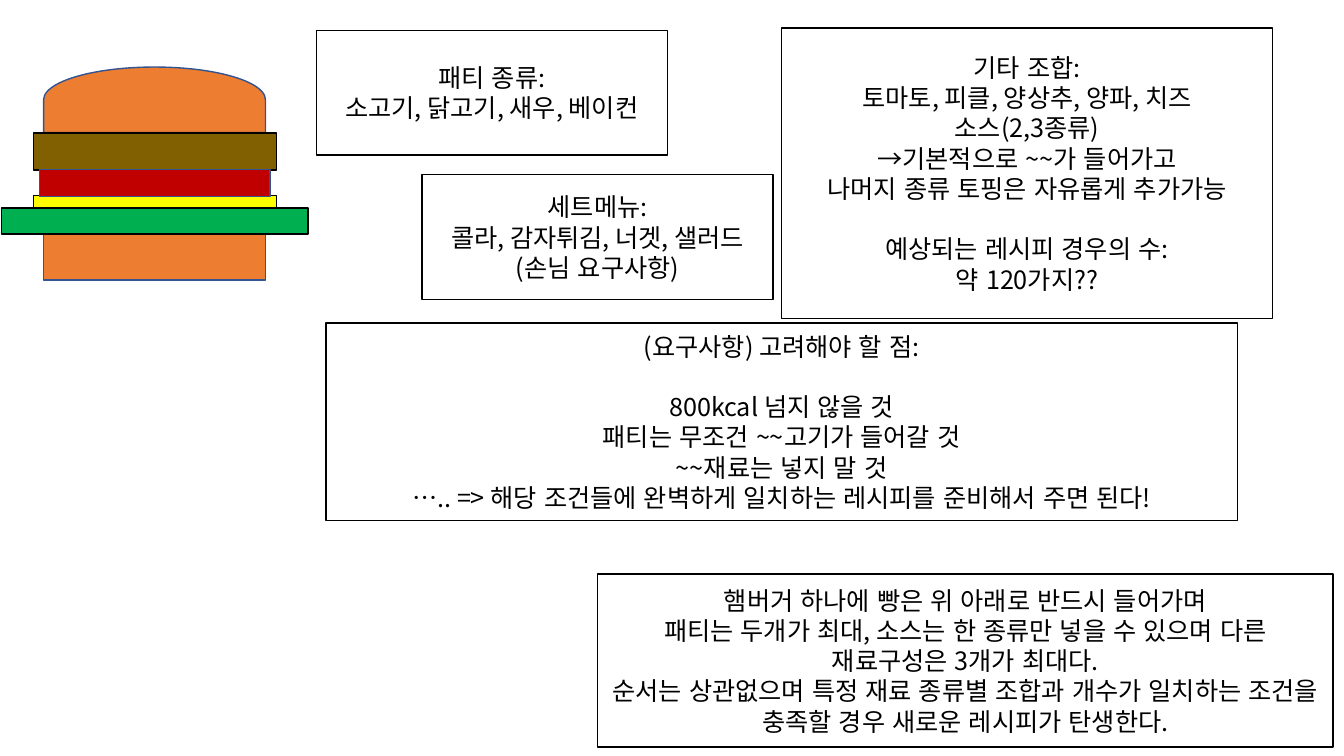
from lxml.etree import SubElement
from pptx import Presentation
from pptx.dml.color import RGBColor
from pptx.enum.lang import MSO_LANGUAGE_ID
from pptx.enum.shapes import MSO_SHAPE
from pptx.enum.text import MSO_ANCHOR, PP_ALIGN
from pptx.oxml.ns import qn
from pptx.util import Pt

COLORS = {
    "bun": "ED7D31",
    "bun_edge": "325491",
    "cheese": "FFFF00",
    "lettuce": "00B050",
    "patty": "806000",
    "tomato": "C00000",
    "white": "FFFFFF",
    "black": "000000",
}


class SlideBuilder:
    font_name = "Noto Sans CJK KR"
    font_size = 18
    line_height = 21.6

    def __init__(self, slide):
        self.slide = slide

    def block(self, bounds, fill, edge="black", kind=MSO_SHAPE.RECTANGLE, rotation=0):
        shape = self.slide.shapes.add_shape(kind, *(Pt(length) for length in bounds))
        shape.rotation = rotation
        shape.shadow.inherit = False
        shape.fill.solid()
        shape.fill.fore_color.rgb = RGBColor.from_string(COLORS[fill])
        shape.line.color.rgb = RGBColor.from_string(COLORS[edge])
        shape.line.width = Pt(1)
        return shape

    def note(self, bounds, lines, spaced_line=None):
        """Draw a framed note; spaced_line is the index of a line set off by one line height."""
        text_frame = self.block(bounds, "white").text_frame
        text_frame.word_wrap = True
        text_frame.vertical_anchor = MSO_ANCHOR.MIDDLE
        text_frame.text = "\n".join(lines)
        for index, paragraph in enumerate(text_frame.paragraphs):
            paragraph.alignment = PP_ALIGN.CENTER
            if index == spaced_line:
                paragraph.space_before = Pt(self.line_height)
            for run in paragraph.runs:
                self.format_run(run)

    def format_run(self, run):
        font = run.font
        font.size = Pt(self.font_size)
        font.name = self.font_name
        font.language_id = MSO_LANGUAGE_ID.KOREAN
        font.color.rgb = RGBColor.from_string(COLORS["black"])
        east_asian = SubElement(run._r.get_or_add_rPr(), qn("a:ea"))
        east_asian.set("typeface", self.font_name)


def main():
    presentation = Presentation()
    presentation.slide_width = Pt(960)
    presentation.slide_height = Pt(540)
    builder = SlideBuilder(presentation.slides.add_slide(presentation.slide_layouts[6]))

    # Burger, from back to front
    builder.block((31, 167, 158.5, 33), "bun", "bun_edge")
    builder.block((87, -8, 46.8, 158.5), "bun", "bun_edge",
                  MSO_SHAPE.FLOWCHART_DELAY, 270)
    builder.block((24, 139.7, 173.5, 11.5), "cheese")
    builder.block((1.2, 148.5, 219, 18.7), "lettuce")
    builder.block((24, 95, 173.5, 26.6), "patty")
    builder.block((28, 121, 165, 19.4), "tomato", "bun_edge")

    # Ingredients and side dishes
    builder.note((226, 21.6, 250.6, 89.3), [
        "패티 종류:",
        "소고기, 닭고기, 새우, 베이컨",
    ])
    builder.note((558.3, 20, 350.6, 207.4), [
        "기타 조합:",
        "토마토, 피클, 양상추, 양파, 치즈",
        "소스(2,3종류)",
        "→기본적으로 ~~가 들어가고",
        "나머지 종류 토핑은 자유롭게 추가가능",
        "예상되는 레시피 경우의 수:",
        "약 120가지??",
    ], spaced_line=5)
    builder.note((301.5, 124.7, 250.6, 89.3), [
        "세트메뉴:",
        "콜라, 감자튀김, 너겟, 샐러드",
        "(손님 요구사항)",
    ])

    # Recipe rules and customer requirements
    builder.note((426.8, 410, 525.4, 123.6), [
        "햄버거 하나에 빵은 위 아래로 반드시 들어가며",
        "패티는 두개가 최대, 소스는 한 종류만 넣을 수 있으며 다른 재료구성은 3개가 최대다.",
        "순서는 상관없으며 특정 재료 종류별 조합과 개수가 일치하는 조건을 "
        "충족할 경우 새로운 레시피가 탄생한다.",
    ])
    builder.note((232.8, 230.8, 651, 141), [
        "(요구사항) 고려해야 할 점:",
        "800kcal 넘지 않을 것",
        "패티는 무조건 ~~고기가 들어갈 것",
        "~~재료는 넣지 말 것",
        "….. => 해당 조건들에 완벽하게 일치하는 레시피를 준비해서 주면 된다!",
    ], spaced_line=1)

    presentation.save("out.pptx")


if __name__ == "__main__":
    main()
